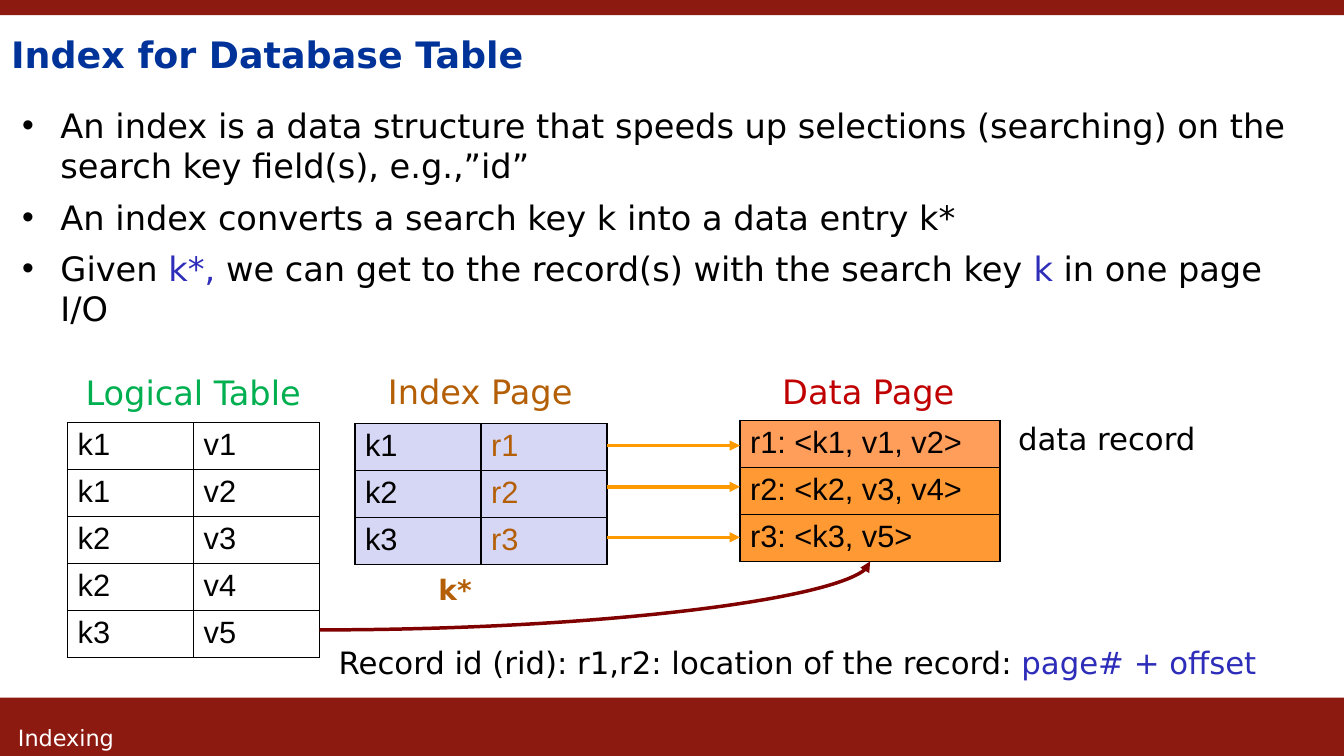
from lxml import etree
from pptx import Presentation
from pptx.dml.color import RGBColor
from pptx.enum.shapes import MSO_CONNECTOR, MSO_SHAPE
from pptx.enum.text import MSO_ANCHOR
from pptx.oxml.ns import qn
from pptx.util import Inches, Pt

RECT = MSO_SHAPE.RECTANGLE
STRAIGHT, CURVE = MSO_CONNECTOR.STRAIGHT, MSO_CONNECTOR.CURVE
TOP, MIDDLE = MSO_ANCHOR.TOP, MSO_ANCHOR.MIDDLE
WIDTH, HEIGHT = Inches(13.33), Inches(7.5)
SANS, ARIAL = "DejaVu Sans", "Arial"
BLACK, WHITE, MAROON = "000000", "FFFFFF", "8D1A11"
BLUE, BROWN, LAVENDER = "2D2DB9", "B45F06", "D6D6F5"
ORANGE, PEACH = "FF9933", "FF9D5B"
ROW = 5.47
INDEX_RIGHT, DATA_LEFT = 45.17, 55.06


def color(value):
    return RGBColor.from_string(value)


def across(share):
    return int(WIDTH * share / 100)


def down(share):
    return int(HEIGHT * share / 100)


def place(x, y, w, h):
    return across(x), down(y), across(w), down(h)


def add_run(p, text, size=24, font=SANS, fill=BLACK, bold=False):
    r = p.add_run()
    r.text = text
    r.font.size = Pt(size)
    r.font.name = font
    r.font.bold = bold
    r.font.color.rgb = color(fill)


def add_bullet(p):
    pPr = p._p.get_or_add_pPr()
    pPr.set("marL", str(Inches(0.38)))
    pPr.set("indent", str(-Inches(0.38)))
    etree.SubElement(pPr, qn("a:buFont")).set("typeface", ARIAL)
    etree.SubElement(pPr, qn("a:buChar")).set("char", "•")


def add_bar(s, y, h):
    sp = s.shapes.add_shape(RECT, *place(0, y, 100, h))
    sp.shadow.inherit = False
    sp.fill.solid()
    sp.fill.fore_color.rgb = color(MAROON)
    sp.line.fill.background()


def add_frame(s, box, wrap=False, flush=False, anchor=TOP):
    tf = s.shapes.add_textbox(*place(*box)).text_frame
    tf.word_wrap = wrap
    tf.vertical_anchor = anchor
    if flush:
        tf.margin_left = tf.margin_top = 0
    return tf


def add_label(s, box, text, wrap=False, **fmt):
    p = add_frame(s, box, wrap).paragraphs[0]
    add_run(p, text, **fmt)
    return p


def add_bullets(s, box, items):
    tf = add_frame(s, box, wrap=True, flush=True)
    for i, runs in enumerate(items):
        p = tf.add_paragraph() if i else tf.paragraphs[0]
        add_bullet(p)
        p.space_after = Pt(3)
        if i:
            p.space_before = Pt(4.8)
        for text, fill in runs:
            add_run(p, text, fill=fill)


def add_border(cell):
    tcPr = cell._tc.get_or_add_tcPr()
    for i, side in enumerate(("lnL", "lnR", "lnT", "lnB")):
        ln = etree.Element(qn("a:" + side), w=str(Pt(1)))
        solid = etree.SubElement(ln, qn("a:solidFill"))
        etree.SubElement(solid, qn("a:srgbClr")).set("val", BLACK)
        tcPr.insert(i, ln)


def add_grid(s, x, y, col, rows, row_fills, col_inks):
    count = len(rows[0])
    box = place(x, y, col * count, ROW * len(rows))
    table = s.shapes.add_table(len(rows), count, *box).table
    table.first_row = table.horz_banding = False
    for column in table.columns:
        column.width = across(col)
    for i, (values, fill) in enumerate(zip(rows, row_fills)):
        table.rows[i].height = down(ROW)
        for j, (value, ink) in enumerate(zip(values, col_inks)):
            cell = table.cell(i, j)
            cell.fill.solid()
            cell.fill.fore_color.rgb = color(fill)
            add_border(cell)
            add_run(cell.text_frame.paragraphs[0], value,
                    size=22, font=ARIAL, fill=ink)


def add_arrow(s, start, end, fill, kind=STRAIGHT):
    ends = [across(start[0]), down(start[1]), across(end[0]), down(end[1])]
    c = s.shapes.add_connector(kind, *ends)
    c.line.color.rgb = color(fill)
    c.line.width = Pt(2.5)
    ln = c.line._get_or_add_ln()
    etree.SubElement(ln, qn("a:tailEnd")).set("type", "triangle")
    spPr = c._element.spPr
    etree.SubElement(spPr, qn("a:effectLst"))
    if kind == CURVE:
        spPr.find(qn("a:prstGeom")).set("prst", "curvedConnector2")


def main():
    prs = Presentation()
    prs.slide_width, prs.slide_height = WIDTH, HEIGHT
    s = prs.slides.add_slide(prs.slide_layouts[6])

    add_bar(s, 92.27, 7.73)
    add_bar(s, 0, 2)

    title = add_frame(s, (0.83, 2.53, 97.67, 10.53), wrap=True, flush=True,
                      anchor=MIDDLE).paragraphs[0]
    title.line_spacing = 0.95
    add_run(title, "Index for Database Table", size=26, fill="003399", bold=True)

    add_bullets(s, (1.65, 13.87, 96.92, 30), [
        [("An index is a data structure that speeds up selections (searching) "
          "on the search key field(s), e.g.,”id”", BLACK)],
        [("An index converts a search key k into a data entry k*", BLACK)],
        [("Given ", BLACK), ("k*, ", BLUE),
         ("we can get to the record(s) with the search key ", BLACK),
         ("k", BLUE), (" in one page I/O", BLACK)],
    ])

    logical = [("k1", "v1"), ("k1", "v2"), ("k2", "v3"), ("k2", "v4"), ("k3", "v5")]
    index = [("k1", "r1"), ("k2", "r2"), ("k3", "r3")]
    data = [("r1: <k1, v1, v2>",), ("r2: <k2, v3, v4>",), ("r3: <k3, v5>",)]
    add_grid(s, 5.03, 55.87, 9.38, logical, [WHITE] * 5, [BLACK, BLACK])
    add_grid(s, 26.41, 56, 9.38, index, [LAVENDER] * 3, [BLACK, BROWN])
    add_grid(s, DATA_LEFT, 55.6, 19.35, data, [PEACH, ORANGE, ORANGE], [BLACK])

    add_label(s, (5.63, 48.53, 17.7, 6.67), "Logical Table", fill="00B050")
    add_label(s, (28.13, 48.4, 15.68, 6.67), "Index Page", fill=BROWN)
    add_label(s, (57.46, 48.4, 14.4, 6.67), "Data Page", fill="C00000")
    add_label(s, (75.02, 54.93, 14.85, 6.27), "data record", size=22)
    rid = add_label(s, (24.46, 84.53, 73.07, 6.27),
                    "Record id (rid): r1,r2: location of the record: ", size=22)
    add_run(rid, "page# + offset", size=22, fill=BLUE)
    add_label(s, (0.6, 95.07, 8.93, 4.93), "Indexing", size=16, fill=WHITE)

    for y in (58.93, 64.4, 71.07):
        add_arrow(s, (INDEX_RIGHT, y), (DATA_LEFT, y), "FF9900")
    add_arrow(s, (23.79, 83.33), (64.74, 74.27), "800000", kind=CURVE)
    add_label(s, (31.88, 75.07, 7.5, 5.87), "k*", wrap=True,
              size=20, fill=BROWN, bold=True)

    prs.save("out.pptx")


if __name__ == "__main__":
    main()
